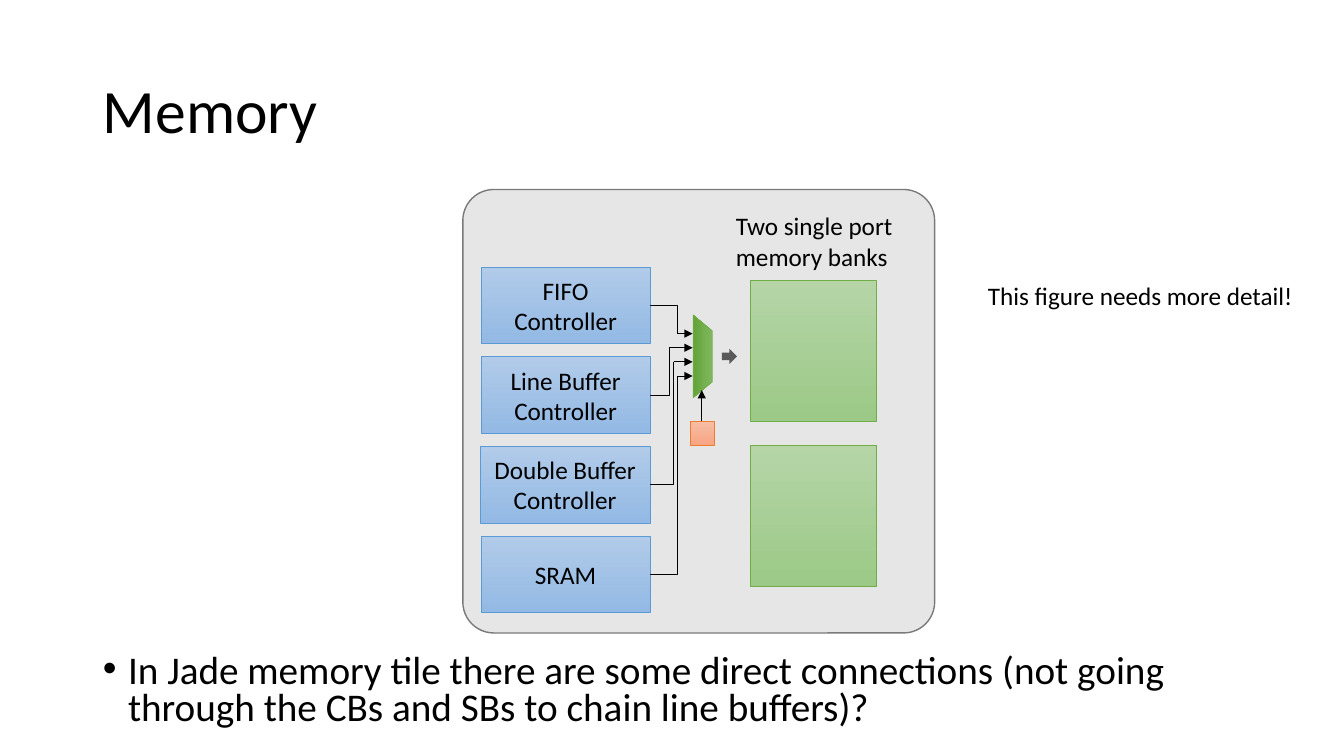
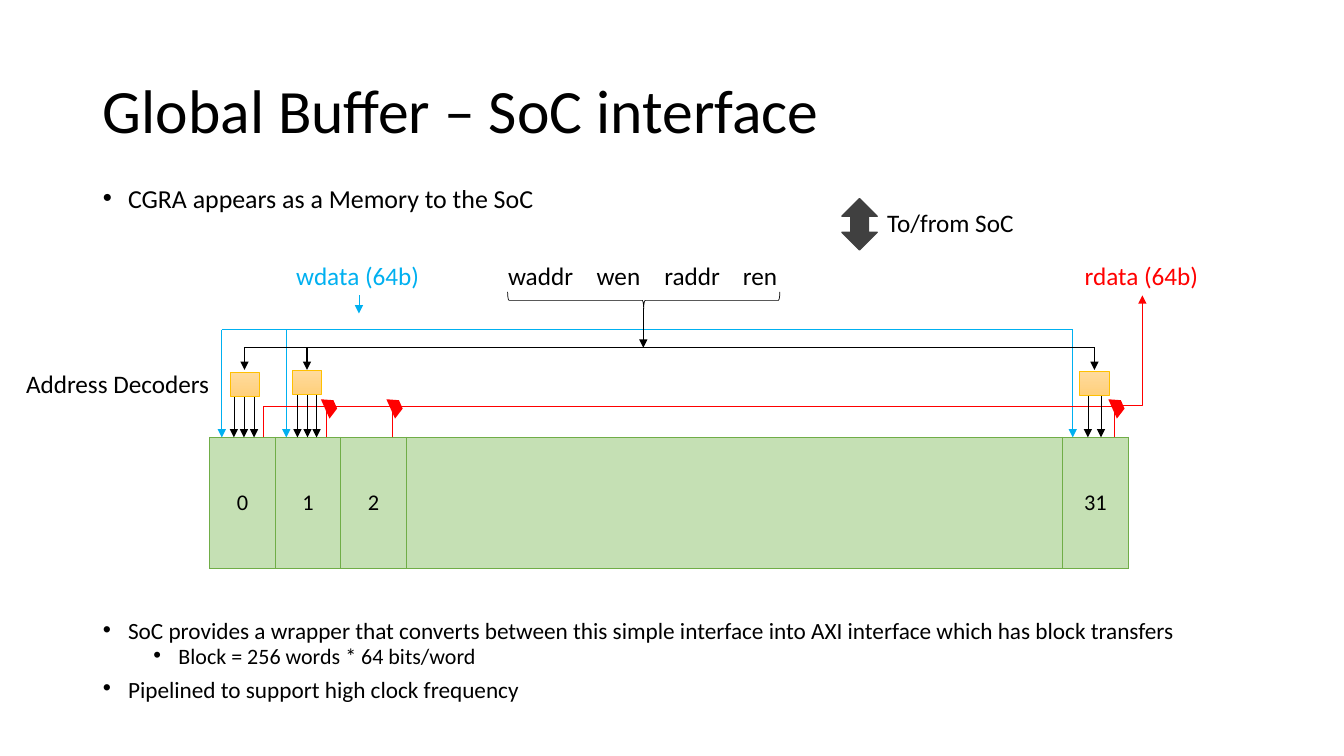
from dataclasses import dataclass

from lxml import etree
from pptx import Presentation
from pptx.dml.color import RGBColor
from pptx.enum.shapes import MSO_CONNECTOR, MSO_SHAPE
from pptx.enum.text import MSO_ANCHOR, MSO_AUTO_SIZE, PP_ALIGN
from pptx.oxml.ns import qn
from pptx.util import Emu, Inches, Pt

RECT, ROUND = MSO_SHAPE.RECTANGLE, MSO_SHAPE.ROUNDED_RECTANGLE
TRAP, BRACE = MSO_SHAPE.TRAPEZOID, MSO_SHAPE.LEFT_BRACE
RIGHT, UPDOWN = MSO_SHAPE.RIGHT_ARROW, MSO_SHAPE.UP_DOWN_ARROW
STRAIGHT = MSO_CONNECTOR.STRAIGHT
LEFT, CENTER = PP_ALIGN.LEFT, PP_ALIGN.CENTER
TOP, MIDDLE = MSO_ANCHOR.TOP, MSO_ANCHOR.MIDDLE
FIT, FIXED = MSO_AUTO_SIZE.SHAPE_TO_FIT_TEXT, MSO_AUTO_SIZE.NONE

# Grid: square cells, ten to the inch
CELL = Inches(0.1)
COLS, ROWS = 133.3, 75

# Shared style
FONT = "Calibri"
BLACK, RED, CYAN = "000000", "FF0000", "00B0F0"
GRAY, DARK, MID = "E7E6E6", "404040", "595959"
GREEN, PALE = "70AD47", "C5E0B4"
BANK = ("B5D5A7", "9CC987")
BLUE = ("B1CBE9", "93B9E4")
MUX = ("81B861", "62A336")
PEACH = ("F7BDA5", "F8A582")
GOLD = ("FFDB9E", "FFD07C")


@dataclass
class Box:
    x: float
    y: float
    w: float
    h: float

    def emu(self) -> list[Emu]:
        return [cells(v) for v in (self.x, self.y, self.w, self.h)]


@dataclass
class Unit:
    name: str
    x: float
    turn: float


@dataclass
class Coder:
    x: float
    y: float
    wires: tuple


@dataclass
class Label:
    name: str
    x: float
    y: float
    w: float
    ink: str = BLACK


@dataclass
class Item:
    text: str
    size: float
    gap: float = 10
    level: int = 0


TITLE = Box(9.2, 4, 115, 14.5)


def cells(n: float) -> Emu:
    return Emu(round(n * CELL))


def color(code: str) -> RGBColor:
    return RGBColor.from_string(code)


# Text
def write(para, text: str, *, size: float = 18, ink: str = BLACK,
          align=LEFT, lead: float = 1.0, gap: float = 0) -> None:
    run = para.add_run()
    run.text = text
    font = run.font
    font.name, font.size = FONT, Pt(size)
    font.color.rgb = color(ink)
    para.alignment, para.line_spacing = align, lead
    para.space_before = Pt(gap)


def label(slide, tag: Label, wrap: bool = False, high: float = 4) -> None:
    box = slide.shapes.add_textbox(*Box(tag.x, tag.y, tag.w, high).emu())
    frame = box.text_frame
    frame.word_wrap, frame.auto_size = wrap, FIT
    write(frame.paragraphs[0], tag.name, ink=tag.ink)


def bullet(para, level: int) -> None:
    props = para._p.get_or_add_pPr()
    props.set("marL", str(Inches(0.25 + 0.5 * level)))
    props.set("indent", str(-Inches(0.25)))
    etree.SubElement(props, qn("a:buChar")).set("char", "•")


def place(holder, box: Box, anchor):
    holder.left, holder.top, holder.width, holder.height = box.emu()
    frame = holder.text_frame
    frame.word_wrap, frame.auto_size = True, FIXED
    frame.vertical_anchor = anchor
    return frame


def start(deck, title: str, area: Box, items: list[Item], lead: float):
    slide = deck.slides.add_slide(deck.slide_layouts[1])
    head = place(slide.shapes.title, TITLE, MIDDLE)
    write(head.paragraphs[0], title, size=44, lead=0.9)
    body = place(slide.placeholders[1], area, TOP)
    for i, item in enumerate(items):
        para = body.add_paragraph() if i else body.paragraphs[0]
        para.level = item.level
        write(para, item.text, size=item.size, lead=lead, gap=item.gap)
        bullet(para, item.level)
    return slide


# Shapes and lines
def shape(slide, kind, box: Box, fill=None, line: str | None = None,
          width: float = 0.5, turn: float = 0, adj: float | None = None,
          text: str = ""):
    item = slide.shapes.add_shape(kind, *box.emu())
    item.shadow.inherit = False
    item.rotation = turn
    if adj is not None:
        item.adjustments[0] = adj
    if fill is None:
        item.fill.background()
    elif isinstance(fill, str):
        item.fill.solid()
        item.fill.fore_color.rgb = color(fill)
    else:
        item.fill.gradient()
        item.fill.gradient_angle = 270
        for stop, code in zip(item.fill.gradient_stops, fill):
            stop.color.rgb = color(code)
    if line is None:
        item.line.fill.background()
    else:
        item.line.color.rgb = color(line)
        item.line.width = Pt(width)
    if text:
        item.text_frame.word_wrap = True
        write(item.text_frame.paragraphs[0], text, align=CENTER)
    return item


def wire(slide, x1: float, y1: float, x2: float, y2: float,
         ink: str = BLACK, width: float = 0.5, arrow: bool = False,
         bent: bool = False) -> None:
    ends = [cells(v) for v in (x1, y1, x2, y2)]
    link = slide.shapes.add_connector(STRAIGHT, *ends)
    link.line.color.rgb = color(ink)
    link.line.width = Pt(width)
    props = link._element.spPr
    if bent:
        props.find(qn("a:prstGeom")).set("prst", "bentConnector2")
    if arrow:
        tail = etree.SubElement(props.find(qn("a:ln")), qn("a:tailEnd"))
        tail.set("type", "triangle")
    etree.SubElement(props, qn("a:effectLst"))


def border(cell, ink: str) -> None:
    props = cell._tc.get_or_add_tcPr()
    for side in "LRTB":
        edge = etree.SubElement(props, qn(f"a:ln{side}"), w=str(Pt(1)))
        fill = etree.SubElement(edge, qn("a:solidFill"))
        etree.SubElement(fill, qn("a:srgbClr"), val=ink)


# Memory tile
def memory(deck) -> None:
    items = [Item("In Jade memory tile there are some direct connections "
                  "(not going through the CBs and SBs to chain line "
                  "buffers)?", 28)]
    slide = start(deck, "Memory", Box(9.2, 64.4, 115, 9.4), items, 0.8)
    shape(slide, ROUND, Box(45.9, 18.8, 46.8, 44), GRAY, "7A7A7A", 1,
          adj=0.07)
    for y in (27.8, 44.2):
        shape(slide, RECT, Box(74.4, y, 12.5, 14), BANK, GREEN)
    label(slide, Label("Two single port memory banks", 72, 20.4, 19.5),
          wrap=True, high=7.1)

    # Controllers feed the four ports of the multiplexer
    shape(slide, TRAP, Box(65.6, 34.4, 8.2, 1.9), MUX, GREEN, turn=90,
          adj=0.83)
    edge, port = 64.5, 68.7
    units = [Unit("FIFO Controller", 47.7, 67.2),
             Unit("Line Buffer Controller", 47.7, 66.4),
             Unit("Double Buffer Controller", 47.6, 66.8),
             Unit("SRAM", 47.7, 67.2)]
    for i, unit in enumerate(units):
        top, inlet = 26.5 + 8.9 * i, 33.1 + 1.4 * i
        shape(slide, RECT, Box(unit.x, top, edge - unit.x, 7.6), BLUE,
              "5B9BD5", text=unit.name)
        wire(slide, edge, top + 3.8, unit.turn, inlet, bent=True)
        wire(slide, unit.turn, inlet, port, inlet, arrow=True)

    # Select register and output
    shape(slide, RECT, Box(68.5, 41.8, 2.4, 2.4), PEACH, "ED7D31")
    wire(slide, 69.6, 41.8, 69.6, 38.7, arrow=True)
    shape(slide, RIGHT, Box(71.6, 34.6, 1.5, 1.5), MID)
    label(slide, Label("This figure needs more detail!", 97, 27.3, 32.8))


# Memory row of the global buffer
def banks(slide) -> None:
    names, widths = ("0", "1", "2", "", "31"), (6.5, 6.5, 6.5, 65.1, 6.5)
    area = Box(20.8, 43.4, sum(widths), 13)
    table = slide.shapes.add_table(1, len(names), *area.emu()).table
    table.first_row = table.horz_banding = False
    table.rows[0].height = cells(area.h)
    for i, (name, width) in enumerate(zip(names, widths)):
        table.columns[i].width = cells(width)
        cell = table.cell(0, i)
        border(cell, GREEN)
        cell.fill.solid()
        cell.fill.fore_color.rgb = color(PALE)
        cell.vertical_anchor = MIDDLE
        if name:
            write(cell.text_frame.paragraphs[0], name, size=16,
                  align=CENTER)


def buffer(deck) -> None:
    items = [Item("CGRA appears as a Memory to the SoC", 18.5),
             Item("SoC provides a wrapper that converts between this simple "
                  "interface into AXI interface which has block transfers",
                  16.6, 293),
             Item("Block = 256 words * 64 bits/word", 15.7, 5, 1),
             Item("Pipelined to support high clock frequency", 16.6)]
    slide = start(deck, "Global Buffer – SoC interface",
                  Box(9.2, 18.5, 115, 55), items, 0.7)
    banks(slide)
    floor = 43.4

    # Signal names
    for tag in (Label("wdata (64b)", 28.4, 25.3, 14.4, CYAN),
                Label("waddr", 49.4, 25.3, 8.5),
                Label("wen", 58.2, 25.3, 6.4),
                Label("raddr", 64.9, 25.3, 7.6),
                Label("ren", 72.7, 25.3, 5.5),
                Label("rdata (64b)", 106.6, 25.3, 13.4, RED),
                Label("Address Decoders", 1.6, 36, 20.4),
                Label("To/from SoC", 87, 20.1, 14.7)):
        label(slide, tag)

    # Write data
    drops = (22, 28.4, 106.4)
    wire(slide, 35.6, 29.3, 35.6, 31.1, CYAN, arrow=True)
    wire(slide, drops[0], 32.7, drops[-1], 32.7, CYAN)
    for x in drops:
        wire(slide, x, 32.7, x, floor, CYAN, arrow=True)

    # Read data, merged bank by bank
    rises, bus = (26.1, 32.4, 38.9, 110.5), 40.3
    wire(slide, rises[0], bus, rises[-1], bus, RED)
    for i, x in enumerate(rises):
        wire(slide, x, floor, x, bus, RED)
        if i:
            shape(slide, TRAP, Box(x - 0.7, 39.8, 2.1, 1.1), RED, turn=66,
                  adj=0.54)
    wire(slide, 111.4, 40.2, 113.3, 29.3, RED, arrow=True, bent=True)

    # Address decoders and their bus
    coders = [Coder(22.8, 36.9, (23.2, 24.2, 25.2)),
              Coder(29, 36.7, (29.5, 30.5, 31.4)),
              Coder(107.1, 36.8, (107.9, 109.2))]
    for coder in coders:
        for x in coder.wires:
            wire(slide, x, coder.y + 2.4, x, floor, arrow=True)
        shape(slide, RECT, Box(coder.x, coder.y, 2.9, 2.4), GOLD, "FFC000")
        mid = coder.x + 1.45
        wire(slide, mid, 34.5, mid, 36.7, width=1, arrow=True)
    wire(slide, 24.2, 34.5, 108.6, 34.5, width=1)
    wire(slide, 63.8, 30.6, 63.8, 34.5, width=1, arrow=True)
    shape(slide, BRACE, Box(63, 16.3, 1.7, 27), line=BLACK, turn=270)
    shape(slide, UPDOWN, Box(83.5, 19.7, 3.5, 5.1), DARK, DARK, 1)


def main() -> None:
    deck = Presentation()
    deck.slide_width, deck.slide_height = cells(COLS), cells(ROWS)
    memory(deck)
    buffer(deck)
    deck.save("out.pptx")


if __name__ == "__main__":
    main()
